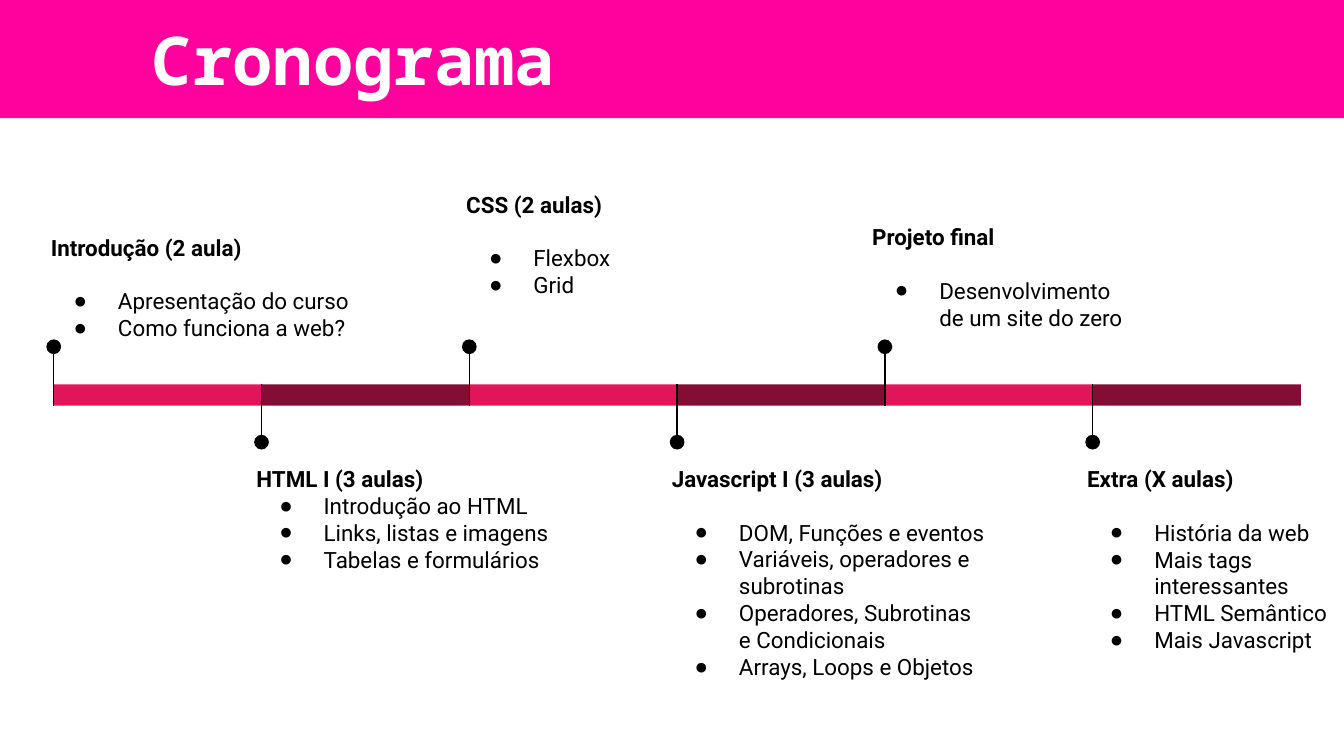
from dataclasses import dataclass

from lxml import etree
from pptx import Presentation
from pptx.dml.color import RGBColor
from pptx.enum.shapes import MSO_CONNECTOR as Connector, MSO_SHAPE as Shape
from pptx.enum.text import MSO_ANCHOR as Anchor, MSO_AUTO_SIZE as AutoSize, PP_ALIGN as Align
from pptx.oxml.ns import qn
from pptx.util import Inches, Pt

PINK = RGBColor(0xFF, 0x02, 0x9E)
RED = RGBColor(0xE1, 0x16, 0x5A)
WINE = RGBColor(0x84, 0x0D, 0x35)
BLACK = RGBColor(0, 0, 0)
WHITE = RGBColor(0xFF, 0xFF, 0xFF)

COUNT = 6
START, LAST = 0.4, 8.13
STEP = (LAST - START) / (COUNT - 1)
BAR_TOP, BAR_WIDTH, BAR_HEIGHT = 2.86, 1.55, 0.16
DOT = 0.11
DOT_ABOVE, DOT_BELOW = 2.58, 3.29
LINE_GAP = Pt(14.4)


@dataclass
class Milestone:
    heading: str
    items: list[str]
    left: float
    top: float
    width: float
    height: float
    gap: bool = True


MILESTONES = [
    Milestone("Introdução (2 aula)",
              ["Apresentação do curso", "Como funciona a web?"],
              0.28, 1.51, 2.44, 1.13),
    Milestone("HTML I (3 aulas)",
              ["Introdução ao HTML", "Links, listas e imagens", "Tabelas e formulários"],
              1.81, 3.36, 2.38, 1.45, gap=False),
    Milestone("CSS (2 aulas)",
              ["Flexbox", "Grid"],
              3.37, 1.19, 2.11, 1.13),
    Milestone("Javascript I (3 aulas)",
              ["DOM, Funções e eventos", "Variáveis, operadores e subrotinas",
               "Operadores, Subrotinas e Condicionais", "Arrays, Loops e Objetos"],
              4.9, 3.36, 2.55, 2.07),
    Milestone("Projeto final",
              ["Desenvolvimento de um site do zero"],
              6.39, 1.39, 2.09, 1.17),
    Milestone("Extra (X aulas)",
              ["História da web", "Mais tags interessantes", "HTML Semântico",
               "Mais Javascript"],
              7.99, 3.36, 2.01, 1.72),
]


def set_margins(tf, margin: float) -> None:
    tf.margin_left = tf.margin_right = tf.margin_top = tf.margin_bottom = Inches(margin)


def format_run(r, font: str, size: float, color: RGBColor, bold: bool) -> None:
    r.font.name = font
    r.font.size = Pt(size)
    r.font.color.rgb = color
    r.font.bold = bold


def set_indent(p, left: float, first: float):
    pPr = p._p.get_or_add_pPr()
    pPr.set("marL", str(Inches(left)))
    pPr.set("indent", str(Inches(first)))
    return pPr


def add_bullet(p) -> None:
    pPr = set_indent(p, 0.5, -0.33)
    color = etree.SubElement(pPr, qn("a:buClr"))
    etree.SubElement(color, qn("a:srgbClr")).set("val", str(BLACK))
    etree.SubElement(pPr, qn("a:buFont")).set("typeface", "Arial")
    etree.SubElement(pPr, qn("a:buChar")).set("char", "●")


def add_title(s, text: str) -> None:
    sp = s.shapes.title
    sp.left, sp.top, sp.width, sp.height = 0, 0, Inches(10), Inches(0.88)
    sp.fill.solid()
    sp.fill.fore_color.rgb = PINK
    tf = sp.text_frame
    tf.text = text
    tf.word_wrap = True
    tf.auto_size = AutoSize.NONE
    tf.vertical_anchor = Anchor.MIDDLE
    set_margins(tf, 0.13)
    p = tf.paragraphs[0]
    p.alignment = Align.LEFT
    set_indent(p, 0.5, 0.5)
    format_run(p.runs[0], "Noto Sans Mono", 36, WHITE, True)


def add_filled(s, kind: Shape, left: float, top: float, width: float, height: float,
               color: RGBColor) -> None:
    sp = s.shapes.add_shape(kind, Inches(left), Inches(top), Inches(width), Inches(height))
    sp.shadow.inherit = False
    sp.fill.solid()
    sp.fill.fore_color.rgb = color
    sp.line.fill.background()


def add_stem(s, x: float, start: float, end: float) -> None:
    line = s.shapes.add_connector(Connector.STRAIGHT, Inches(x), Inches(start),
                                  Inches(x), Inches(end))
    line.line.color.rgb = BLACK
    line.line.width = Pt(0.75)
    etree.SubElement(line._element.spPr, qn("a:effectLst"))


def add_label(s, m: Milestone, anchor: Anchor) -> None:
    sp = s.shapes.add_textbox(Inches(m.left), Inches(m.top), Inches(m.width), Inches(m.height))
    tf = sp.text_frame
    tf.text = "\n".join([m.heading, *m.items])
    tf.word_wrap = True
    tf.vertical_anchor = anchor
    set_margins(tf, 0.1)
    heading, *items = tf.paragraphs
    format_run(heading.runs[0], "Roboto", 12, BLACK, True)
    if m.gap:
        heading.space_after = LINE_GAP
    for p in items:
        add_bullet(p)
        format_run(p.runs[0], "Roboto", 12, BLACK, False)


def add_milestone(s, index: int, m: Milestone) -> None:
    x = START + index * STEP
    above = index % 2 == 0
    dot_y = DOT_ABOVE if above else DOT_BELOW
    bar_end = BAR_TOP + BAR_HEIGHT if above else BAR_TOP
    add_filled(s, Shape.RECTANGLE, x, BAR_TOP, BAR_WIDTH, BAR_HEIGHT, RED if above else WINE)
    add_label(s, m, Anchor.BOTTOM if above else Anchor.TOP)
    add_stem(s, x, dot_y, bar_end)
    add_filled(s, Shape.OVAL, x - DOT / 2, dot_y - DOT / 2, DOT, DOT, BLACK)


def main() -> None:
    prs = Presentation()
    prs.slide_width = Inches(10)
    prs.slide_height = prs.slide_width * 9 // 16
    s = prs.slides.add_slide(prs.slide_layouts[5])
    add_title(s, "Cronograma")
    for index, m in enumerate(MILESTONES):
        add_milestone(s, index, m)
    prs.save("out.pptx")


if __name__ == "__main__":
    main()
